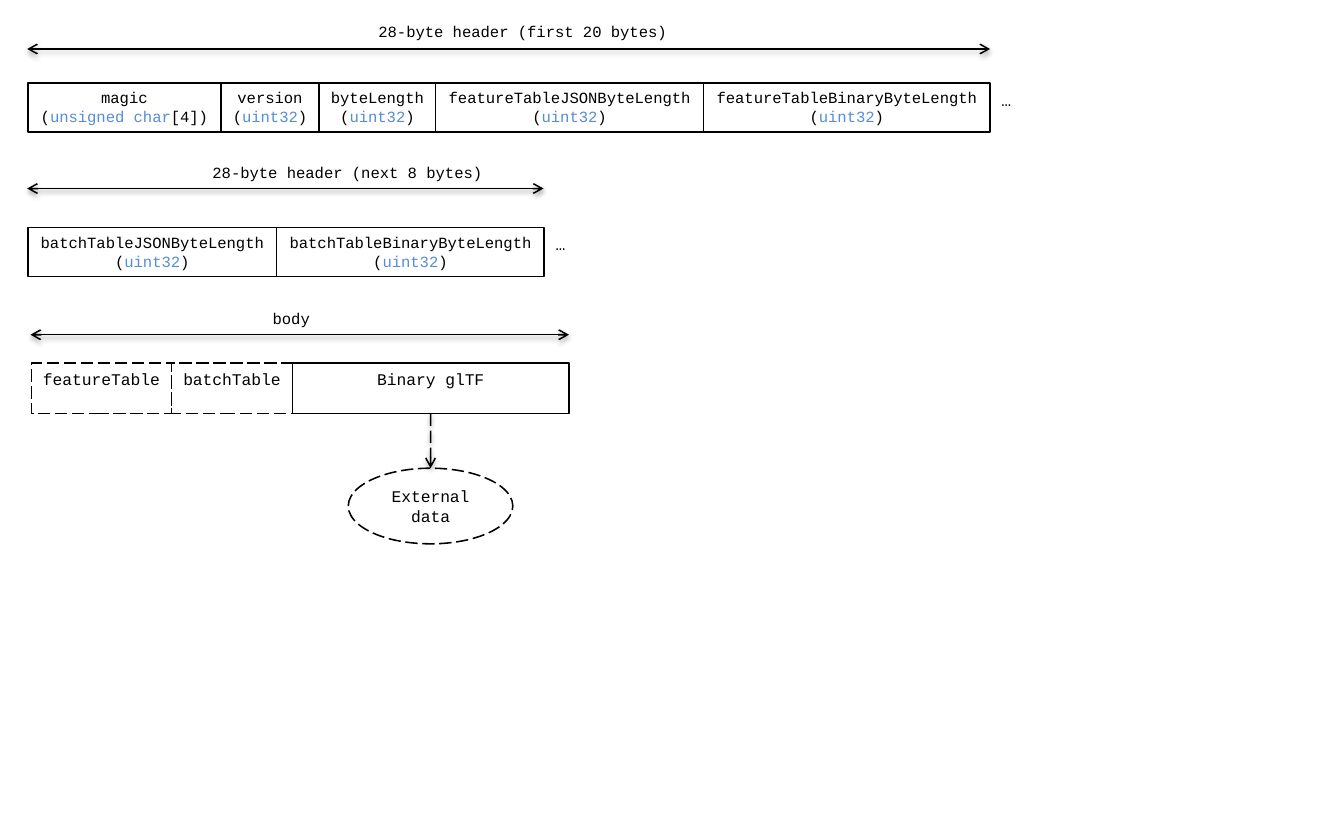
from lxml import etree
from pptx import Presentation
from pptx.dml.color import RGBColor
from pptx.enum.dml import MSO_LINE_DASH_STYLE as Dash
from pptx.enum.shapes import MSO_CONNECTOR as Connector, MSO_SHAPE as Shape
from pptx.enum.text import MSO_ANCHOR as Anchor, MSO_AUTO_SIZE as AutoSize, PP_ALIGN as Align
from pptx.oxml import parse_xml
from pptx.oxml.ns import nsdecls, qn
from pptx.util import Pt

FONT = "Courier New"
BLACK, BLUE = "000000", "558ED5"
SMALL, LARGE = 10, 10.5
ROW_HEIGHT = 31.7
BODY_HEIGHT = 32.4

SHADOW = (
    f'<a:effectLst {nsdecls("a")}>'
    '<a:outerShdw blurRad="40000" dist="20000" dir="5400000" rotWithShape="0">'
    '<a:srgbClr val="000000"><a:alpha val="38000"/></a:srgbClr>'
    '</a:outerShdw></a:effectLst>'
)


def color(hex_code):
    return RGBColor.from_string(hex_code)


def write(frame, lines, size, wrap=False, anchor=Anchor.TOP):
    """Each line is a list of (text, colour) runs."""
    frame.word_wrap = wrap
    frame.auto_size = AutoSize.NONE
    frame.vertical_anchor = anchor
    for number, runs in enumerate(lines):
        paragraph = frame.add_paragraph() if number else frame.paragraphs[0]
        paragraph.alignment = Align.CENTER
        for text, hex_code in runs:
            run = paragraph.add_run()
            run.text = text
            run.font.name = FONT
            run.font.size = Pt(size)
            run.font.color.rgb = color(hex_code)


def style_line(line, dashed=False):
    line.color.rgb = color(BLACK)
    line.width = Pt(1)
    if dashed:
        line.dash_style = Dash.LONG_DASH


def add_outline(slide, kind, left, top, width, height, dashed=False):
    outline = slide.shapes.add_shape(kind, Pt(left), Pt(top), Pt(width), Pt(height))
    outline.shadow.inherit = False
    outline.fill.background()
    style_line(outline.line, dashed)
    return outline


def add_label(slide, text, left, top, width, height=19.4, size=SMALL):
    label = slide.shapes.add_textbox(Pt(left), Pt(top), Pt(width), Pt(height))
    write(label.text_frame, [[(text, BLACK)]], size)


def add_arrow(slide, x1, y1, x2, y2, both_ends=False, dashed=False):
    arrow = slide.shapes.add_connector(Connector.STRAIGHT, Pt(x1), Pt(y1), Pt(x2), Pt(y2))
    style_line(arrow.line, dashed)
    ends = ("a:headEnd", "a:tailEnd") if both_ends else ("a:tailEnd",)
    properties = arrow.element.spPr
    for end in ends:
        etree.SubElement(properties.find(qn("a:ln")), qn(end), type="arrow")
    properties.append(parse_xml(SHADOW))
    return arrow


def add_header_row(slide, left, top, fields):
    """Fields are (name, type prefix, type, type suffix, width), set side by side."""
    for name, before, data_type, after, width in fields:
        field = add_outline(slide, Shape.RECTANGLE, left, top, width, ROW_HEIGHT)
        type_line = [(before, BLACK), (data_type, BLUE), (after, BLACK)]
        write(field.text_frame, [[(name, BLACK)], type_line], SMALL)
        left += width
    add_label(slide, "…", left, top + 1, 20.9, 33.8, LARGE)


def uint32(name, width):
    return name, "(", "uint32", ")", width


def add_body(slide, left, top, parts):
    """Returns the last part, which holds the binary content."""
    for name, width, dashed in parts:
        part = add_outline(slide, Shape.RECTANGLE, left, top, width, BODY_HEIGHT, dashed)
        write(part.text_frame, [[(name, BLACK)]], LARGE)
        left += width
    return part


def main():
    deck = Presentation()
    deck.slide_width, deck.slide_height = Pt(864), Pt(540)
    slide = deck.slides.add_slide(deck.slide_layouts[6])

    # Header, first 20 bytes
    add_label(slide, "28-byte header (first 20 bytes)", 234.7, 10.8, 202.3)
    add_arrow(slide, 17.5, 31.5, 636.5, 31.5, both_ends=True)
    add_header_row(slide, 18, 53.3, [
        ("magic", "(", "unsigned char", "[4])", 123.9),
        uint32("version", 63.3),
        uint32("byteLength", 74.9),
        uint32("featureTableJSONByteLength", 172.1),
        uint32("featureTableBinaryByteLength", 184.3),
    ])

    # Header, next 8 bytes
    add_label(slide, "28-byte header (next 8 bytes)", 128.2, 101.5, 190.1)
    add_arrow(slide, 17.5, 121.2, 349.4, 121.2, both_ends=True)
    add_header_row(slide, 18, 146.2, [
        uint32("batchTableJSONByteLength", 159.8),
        uint32("batchTableBinaryByteLength", 172.1),
    ])

    # Body
    add_label(slide, "body", 167.8, 195.1, 38.9)
    add_arrow(slide, 19.6, 215.2, 365.8, 215.2, both_ends=True)
    binary = add_body(slide, 20.2, 233.5, [
        ("featureTable", 90, True),
        ("batchTable", 77.8, True),
        ("Binary glTF", 177.8, False),
    ])

    # External data referenced by the binary part
    external = add_outline(slide, Shape.OVAL, 223.9, 301, 105.8, 48.6, dashed=True)
    write(external.text_frame, [[("External data", BLACK)]], LARGE, True, Anchor.MIDDLE)
    reference = add_arrow(slide, 276.8, 265.9, 276.8, 301, dashed=True)
    reference.begin_connect(binary, 2)
    reference.end_connect(external, 0)

    deck.save("out.pptx")


main()
